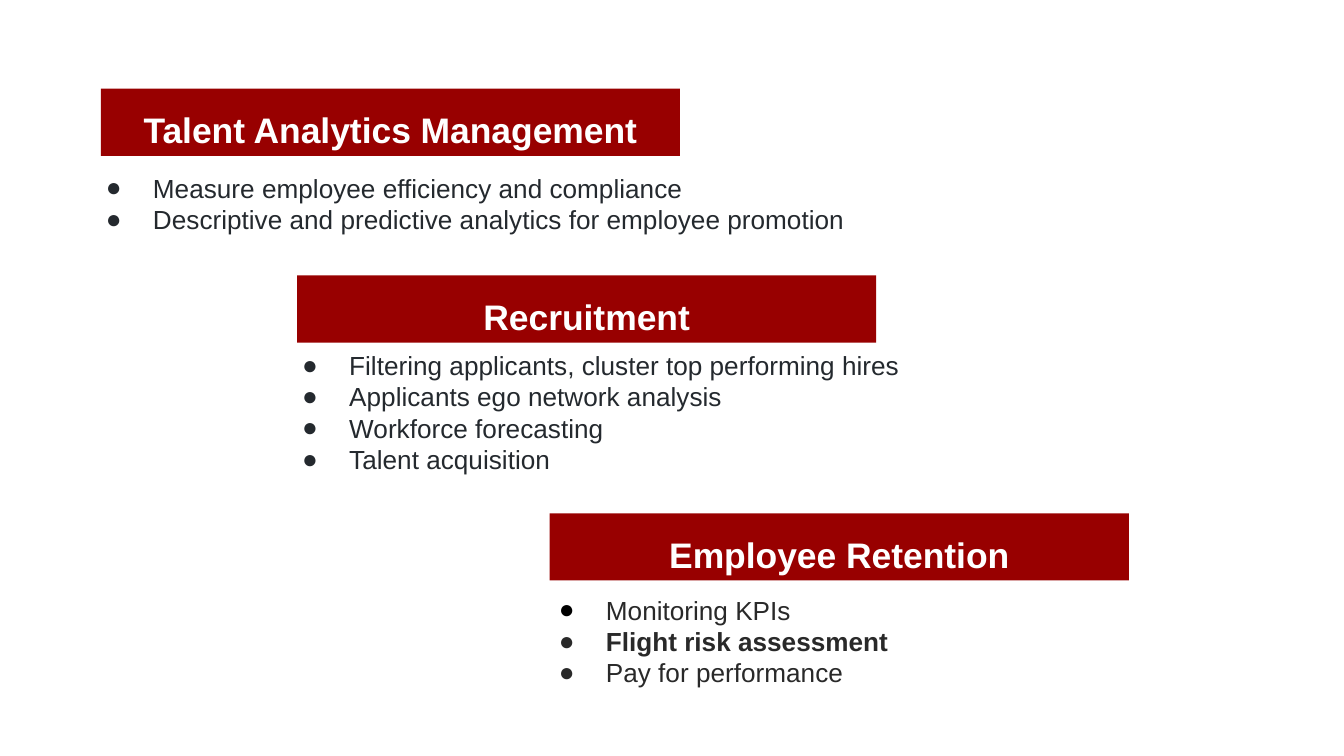
import lxml.etree
import pptx
import pptx.dml.color
import pptx.enum.shapes
import pptx.enum.text
import pptx.oxml.ns
import pptx.util

Inches = pptx.util.Inches
Pt = pptx.util.Pt


def color(value):
    return pptx.dml.color.RGBColor.from_string(value)


def add_bullet(para, bullet_color):
    properties = para._p.get_or_add_pPr()
    properties.set("marL", str(Inches(0.5)))
    properties.set("indent", str(Inches(-0.35)))
    qn = pptx.oxml.ns.qn
    tint = lxml.etree.SubElement(properties, qn("a:buClr"))
    lxml.etree.SubElement(tint, qn("a:srgbClr"), val=bullet_color)
    lxml.etree.SubElement(properties, qn("a:buSzPts"), val="1400")
    lxml.etree.SubElement(properties, qn("a:buFont"), typeface="Arial")
    lxml.etree.SubElement(properties, qn("a:buChar"), char="●")


deck = pptx.Presentation()
deck.slide_width = Inches(10)
deck.slide_height = Inches(10) * 9 // 16
page = deck.slides.add_slide(deck.slide_layouts[6])

sections = [
    ("Talent Analytics Management", (0.75, 0.66), (0.54, 1.18, 6.26), "24292E", "24292E", [
        ("Measure employee efficiency and compliance", False),
        ("Descriptive and predictive analytics for employee promotion", False),
    ]),
    ("Recruitment", (2.21, 2.05), (2, 2.5, 5.88), "24292E", "24292E", [
        ("Filtering applicants, cluster top performing hires", False),
        ("Applicants ego network analysis", False),
        ("Workforce forecasting", False),
        ("Talent acquisition", False),
    ]),
    ("Employee Retention", (4.09, 3.82), (3.91, 4.32, 5.69), "292929", "000000", [
        ("Monitoring KPIs", False),
        ("Flight risk assessment", True),
        ("Pay for performance", False),
    ]),
]

for title, (banner_left, banner_top), (left, top, width), ink, first_bullet, items in sections:
    box = page.shapes.add_textbox(
        Inches(left), Inches(top), Inches(width), Inches(0.2 + 0.23 * len(items)))
    banner = page.shapes.add_shape(
        pptx.enum.shapes.MSO_SHAPE.RECTANGLE,
        Inches(banner_left), Inches(banner_top), Inches(4.31), Inches(0.5))
    banner.shadow.inherit = False
    banner.fill.solid()
    banner.fill.fore_color.rgb = color("980000")
    banner.line.fill.background()

    for frame in (box.text_frame, banner.text_frame):
        frame.word_wrap = True
        frame.vertical_anchor = pptx.enum.text.MSO_ANCHOR.TOP
        frame.margin_left = frame.margin_right = Inches(0.1)
        frame.margin_top = frame.margin_bottom = Inches(0.1)

    para = banner.text_frame.paragraphs[0]
    para.alignment = pptx.enum.text.PP_ALIGN.CENTER
    para.line_spacing = 1.15
    para.space_after = Pt(16)
    span = para.add_run()
    span.text = title
    span.font.name = "Arial"
    span.font.size = Pt(19)
    span.font.bold = True
    span.font.color.rgb = color("FFFFFF")

    for index, (item, bold) in enumerate(items):
        para = box.text_frame.add_paragraph() if index else box.text_frame.paragraphs[0]
        add_bullet(para, ink if index else first_bullet)
        span = para.add_run()
        span.text = item
        span.font.name = "Arial"
        span.font.size = Pt(14)
        span.font.bold = bold
        span.font.color.rgb = color(ink)

deck.save("out.pptx")
